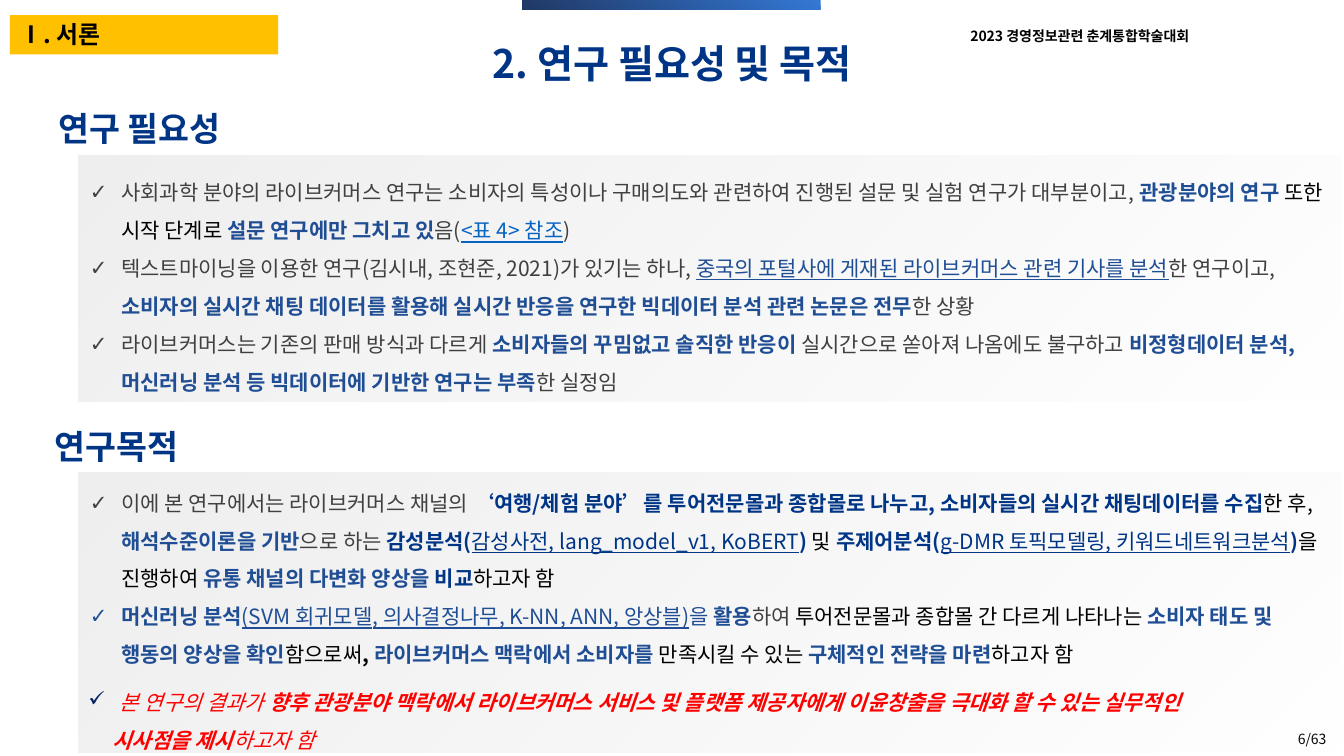
from lxml.etree import SubElement as Sub
from pptx import Presentation
from pptx.dml.color import RGBColor as RGB
from pptx.enum.shapes import MSO_SHAPE as Shape
from pptx.enum.text import MSO_ANCHOR as Anchor, MSO_AUTO_SIZE as Auto, PP_ALIGN as Align
from pptx.oxml.ns import qn
from pptx.util import Cm, Pt

FACE = "Noto Sans CJK KR"
BLACK = RGB(0x00, 0x00, 0x00)
GRAY = RGB(0x40, 0x40, 0x40)
BLUE = RGB(0x20, 0x4E, 0x94)
NAVY = RGB(0x00, 0x35, 0x86)
LINK = RGB(0x05, 0x63, 0xC1)
RED = RGB(0xFF, 0x00, 0x00)
TICK = RGB(0x00, 0x20, 0x60)
GOLD = RGB(0xFF, 0xC0, 0x00)
PALE = RGB(0xEF, 0xEF, 0xEF)
SKY = RGB(0x33, 0x78, 0xD5)
DUSK = RGB(0x20, 0x38, 0x64)

BOLD = {"bold": True}
LINE = {"underline": True}
SLANT = {"italic": True}
LEAN = {"italic": True, "bold": True}

NEED = [
    [("사회과학 분야의 라이브커머스 연구는 소비자의 특성이나 구매의도와 관련하여 진행된 설문 및 실험 연구가 대부분이고, ", GRAY),
     ("관광분야의 연구 ", BLUE, BOLD),
     ("또한 시작 단계로 ", BLACK),
     ("설문 연구에만 그치고 있", BLUE, BOLD),
     ("음(", GRAY),
     ("<표 4> 참조", LINK, LINE),
     (")", GRAY)],
    [("텍스트마이닝을 이용한 연구(김시내, 조현준, 2021)가 있기는 하나, ", GRAY),
     ("중국의 포털사에 게재된 라이브커머스 관련 기사를 분석", BLUE, LINE),
     ("한 연구이고, ", GRAY),
     ("소비자의 실시간 채팅 데이터를 활용해 실시간 반응을 연구한 빅데이터 분석 관련 논문은 전무", BLUE, BOLD),
     ("한 상황", GRAY)],
    [("라이브커머스는 기존의 판매 방식과 다르게 ", GRAY),
     ("소비자들의 꾸밈없고 솔직한 반응이 ", BLUE, BOLD),
     ("실시간으로 쏟아져 나옴에도 불구하고 ", GRAY),
     ("비정형데이터 분석, 머신러닝 분석 등 빅데이터에 기반한 연구는 부족", BLUE, BOLD),
     ("한 실정임", GRAY)],
]
AIM = [
    [("이에 본 연구에서는 라이브커머스 채널의 ", GRAY),
     ("‘여행/체험 분야’를 투어전문몰과 종합몰로 나누고, 소비자들의 실시간 채팅데이터를 수집", NAVY, BOLD),
     ("한 후, ", BLACK),
     ("해석수준이론을 기반", BLUE, BOLD),
     ("으로 하는 ", GRAY),
     ("감성분석(", NAVY, BOLD),
     ("감성사전, lang_model_v1, KoBERT", NAVY, LINE),
     (") ", NAVY, BOLD),
     ("및", BLACK),
     (" 주제어분석(", NAVY, BOLD),
     ("g-DMR 토픽모델링, 키워드네트워크분석", NAVY, LINE),
     (")", NAVY, BOLD),
     ("을 진행하여 ", BLACK),
     ("유통 채널의 다변화 양상을", BLUE, BOLD),
     (" 비교", NAVY, BOLD),
     ("하고자 함", BLACK)],
    [("머신러닝 분석", BLUE, BOLD),
     ("(SVM 회귀모델, 의사결정나무, K-NN, ANN, 앙상블)", BLUE, LINE),
     ("을 ", BLUE),
     ("활용", BLUE, BOLD),
     ("하여 ", GRAY),
     ("투어전문몰과 종합몰 간 다르게 나타나는 ", BLACK),
     ("소비자 태도 및 행동의 양상을 확인", BLUE, BOLD),
     ("함으로써", BLACK),
     (", ", BLACK, BOLD),
     ("라이브커머스 맥락에서 소비자를 ", BLUE, BOLD),
     ("만족시킬 수 있는 ", BLACK),
     ("구체적인 전략을 마련", BLUE, BOLD),
     ("하고자 함", BLACK)],
]
GOAL = [("본 연구의 결과가 ", RED, SLANT),
        ("향후 관광분야 맥락에서 라이브커머스 서비스 및 플랫폼 제공자에게 이윤창출을 극대화 할 수 있는 실무적인", RED, LEAN)]
GOAL_END = [("시사점을 제시", RED, LEAN), ("하고자 함", RED, SLANT)]


def place(shape, box):
    """Move a placeholder to its box and in front of the panels."""
    for name, size in zip(("left", "top", "width", "height"), box):
        setattr(shape, name, Cm(size))
    tree = shape._element.getparent()
    tree.append(shape._element)
    return shape


def add_box(slide, box):
    return slide.shapes.add_textbox(*map(Cm, box))


def add_rect(slide, box):
    rect = slide.shapes.add_shape(Shape.RECTANGLE, *map(Cm, box))
    rect.shadow.inherit = False
    rect.line.fill.background()
    return rect


def shade(rect, first, last, angle):
    fill = rect.fill
    fill.gradient()
    fill.gradient_angle = angle
    for stop, color in zip(fill.gradient_stops, (first, last)):
        stop.color.rgb = color


def add_panel(slide, box):
    """Add a pale panel that fades out to the lower right."""
    rect = add_rect(slide, box)
    shade(rect, PALE, PALE, 315)
    tint = rect._element.spPr.findall(".//" + qn("a:srgbClr"))[-1]
    Sub(tint, qn("a:alpha"), val="0")


def set_frame(shape, anchor=Anchor.TOP):
    frame = shape.text_frame
    form = {"word_wrap": True, "auto_size": Auto.NONE, "vertical_anchor": anchor}
    for name, value in form.items():
        setattr(frame, name, value)
    return frame


def add_run(para, size, text, color, form=None):
    run = para.add_run()
    run.text = text
    values = {"name": FACE, "size": Pt(size), "bold": False, **(form or {})}
    for name, value in values.items():
        setattr(run.font, name, value)
    run.font.color.rgb = color
    Sub(run._r.get_or_add_rPr(), qn("a:ea"), typeface=FACE)


def set_para(para, runs, size, pitch, align=Align.LEFT):
    form = {"alignment": align, "line_spacing": Pt(pitch),
            "space_before": Pt(0), "space_after": Pt(0)}
    for name, value in form.items():
        setattr(para, name, value)
    for run in runs:
        add_run(para, size, *run)


def set_label(shape, text, size, color, align=Align.LEFT, anchor=Anchor.TOP, bold=True):
    para = set_frame(shape, anchor).paragraphs[0]
    set_para(para, [(text, color, {"bold": bold})], size, round(size * 1.2), align)


def indent(para, left, hang):
    props = para._p.get_or_add_pPr()
    props.set("marL", str(Cm(left)))
    props.set("indent", str(Cm(hang)))
    return props


def set_list(shape, items, tick=None):
    frame = set_frame(shape)
    for spot, runs in enumerate(items):
        para = frame.add_paragraph() if spot else frame.paragraphs[0]
        set_para(para, runs, 15, 27)
        props = indent(para, 0.79, -0.79)
        if tick:
            Sub(Sub(props, qn("a:buClr")), qn("a:srgbClr"), val=str(tick))
        Sub(props, qn("a:buChar"), char="✓")
    return frame


def main():
    deck = Presentation()
    deck.slide_width, deck.slide_height = Cm(33.87), Cm(19.05)
    slide = deck.slides.add_slide(deck.slide_layouts[4])
    title, need_head, need, aim_head, aim = slide.placeholders

    set_label(add_box(slide, (26.06, 17.93, 7.62, 1.02)), "6/63", 10, BLACK,
              Align.RIGHT, Anchor.BOTTOM, False)
    set_label(add_box(slide, (23.83, 0.56, 6.76, 0.69)),
              "2023 경영정보관련 춘계통합학술대회", 10, BLACK, Align.CENTER)
    tag = add_rect(slide, (0.25, 0.38, 6.76, 0.99))
    tag.fill.solid()
    tag.fill.fore_color.rgb = GOLD
    set_label(tag, "Ⅰ. 서론", 17, BLACK)
    shade(add_rect(slide, (13.16, 0, 7.52, 0.25)), SKY, DUSK, 225)

    for top, height in ((11.91, 7.06), (3.91, 6.22)):
        add_panel(slide, (1.98, top, 31.83, height))

    set_label(place(title, (11.43, 0.86, 11.02, 1.45)),
              "2. 연구 필요성 및 목적", 28, NAVY, Align.CENTER)
    set_label(place(aim_head, (1.12, 10.59, 16.76, 1.27)), "연구목적", 24, NAVY)
    set_label(place(need_head, (1.22, 2.59, 16.76, 1.27)), "연구 필요성", 24, NAVY)
    set_list(place(need, (2.01, 4.09, 31.75, 5.89)), NEED)
    set_list(place(aim, (2.01, 11.91, 31.75, 4.95)), AIM)

    goal = set_list(add_box(slide, (1.98, 16.94, 31.83, 2.06)), [GOAL], TICK)
    tail = goal.add_paragraph()
    set_para(tail, GOAL_END, 15, 27)
    indent(tail, 0.61, 0)
    deck.save("out.pptx")


if __name__ == "__main__":
    main()
